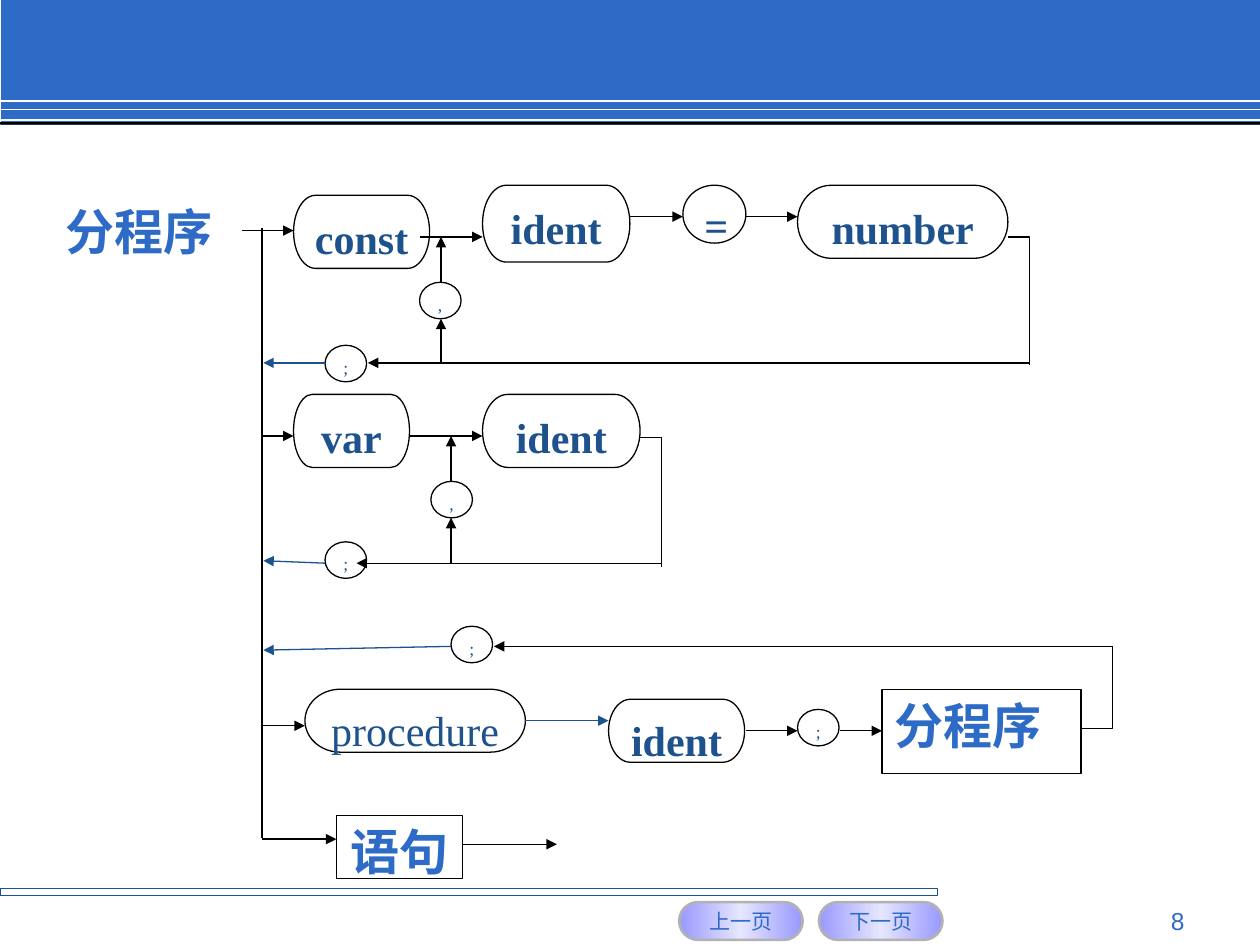
from copy import deepcopy

from pptx import Presentation
from pptx.dml.color import RGBColor
from pptx.enum.shapes import MSO_CONNECTOR, MSO_SHAPE
from pptx.enum.text import MSO_ANCHOR, PP_ALIGN
from pptx.oxml.ns import qn
from pptx.util import Inches, Pt
from lxml import etree

RECT, PILL = MSO_SHAPE.RECTANGLE, MSO_SHAPE.ROUNDED_RECTANGLE
TERMINAL = MSO_SHAPE.FLOWCHART_TERMINATOR
CIRCLE = MSO_SHAPE.FLOWCHART_CONNECTOR
PROCESS = MSO_SHAPE.FLOWCHART_PROCESS
STRAIGHT = MSO_CONNECTOR.STRAIGHT
LEFT, CENTER, RIGHT, JUSTIFY = PP_ALIGN.LEFT, PP_ALIGN.CENTER, PP_ALIGN.RIGHT, PP_ALIGN.JUSTIFY
TOP, MIDDLE = MSO_ANCHOR.TOP, MSO_ANCHOR.MIDDLE

THEME = {
    "band": "2D6BC7", "ink": "1D528D", "black": "000000", "white": "FFFFFF",
    "button_edge": "B2B2B2", "button": "9999FF", "button_light": "E6E6FF",
    "serif": "Times New Roman", "sans": "Arial", "cjk": "Noto Sans CJK SC",
    "symbol": 24, "block": 28, "mark": 10, "nav": 12, "number": 14, "line": 0.75,
}

# text, left, top, width, height, bold
TERMINALS = [
    ("const", 2.33, 1.55, 1.08, 0.58, True),
    ("ident", 3.83, 1.47, 1.17, 0.61, True),
    ("number", 6.33, 1.47, 1.67, 0.58, True),
    ("var", 2.33, 3.13, 0.92, 0.58, True),
    ("ident", 3.83, 3.13, 1.25, 0.58, True),
    ("procedure", 2.42, 5.47, 1.75, 0.5, False),
    ("ident", 4.83, 5.55, 1.08, 0.5, True),
]
MARK_SIZE = (0.33, 0.29)
# text, left, top
MARKS = [(",", 3.33, 2.24), (";", 2.58, 2.74), (",", 3.42, 3.82),
         (";", 2.58, 4.3), (";", 3.58, 4.97), (";", 6.33, 5.63)]
# text, left, top, width, height, alignment
BLOCKS = [("分程序", 7, 5.47, 1.58, 0.67, JUSTIFY), ("语句", 2.67, 6.47, 1, 0.5, CENTER)]

TRUNK = 2.08
# start x, start y, end x, end y
FLOW_ARROWS = [
    (1.92, 1.83, 2.33, 1.83), (3.33, 1.88, 3.83, 1.88),
    (5, 1.72, 5.42, 1.72), (5.92, 1.72, 6.33, 1.72),
    (8.17, 2.88, 2.92, 2.88), (3.5, 2.88, 3.5, 2.53), (3.5, 2.24, 3.5, 1.88),
    (TRUNK, 3.46, 2.33, 3.46), (3.25, 3.46, 3.83, 3.46),
    (5.25, 4.47, 2.83, 4.47), (3.58, 4.47, 3.58, 4.11), (3.58, 3.82, 3.58, 3.46),
    (TRUNK, 5.76, 2.42, 5.76), (5.92, 5.8, 6.33, 5.8), (6.67, 5.8, 7, 5.8),
    (8.83, 5.13, 3.92, 5.13), (TRUNK, 6.66, 2.67, 6.66), (3.67, 6.7, 4.42, 6.7),
]
BLUE_ARROWS = [
    (2.58, 2.88, 2.09, 2.88), (2.58, 4.47, 2.09, 4.45),
    (3.58, 5.13, 2.09, 5.16), (4.17, 5.72, 4.83, 5.72),
]
RETURN_CORNERS = [
    [(8, 1.88), (8.17, 1.88), (8.17, 2.9)],
    [(5.08, 3.47), (5.25, 3.47), (5.25, 4.5)],
    [(8.58, 5.78), (8.83, 5.78), (8.83, 5.13)],
]
BAND_LINES = [0.8, 0.87, 0.95]
BUTTONS = [("上一页", 5.39), ("下一页", 6.5)]


def color(name):
    return RGBColor.from_string(THEME[name])


def style(shape, fill=None, line=None, width=THEME["line"]):
    shape.shadow.inherit = False
    if fill:
        shape.fill.solid()
        shape.fill.fore_color.rgb = color(fill)
    else:
        shape.fill.background()
    if line:
        shape.line.color.rgb = color(line)
        shape.line.width = Pt(width)
    else:
        shape.line.fill.background()


def add_box(slide, kind, bounds, **look):
    box = slide.shapes.add_shape(kind, *map(Inches, bounds))
    style(box, **look)
    return box


def write(box, text, size, font, ink, align, bold=False, anchor=TOP, wrap=True):
    frame = box.text_frame
    frame.word_wrap = wrap
    frame.vertical_anchor = anchor
    para = frame.paragraphs[0]
    para.text = text
    para.alignment = align
    para.font.size = Pt(THEME[size])
    para.font.name = THEME[font]
    para.font.bold = bold
    para.font.color.rgb = color(ink)


def add_line(slide, ends, ink="black", width=THEME["line"], arrow=False):
    line = slide.shapes.add_connector(STRAIGHT, *map(Inches, ends))
    line.line.color.rgb = color(ink)
    line.line.width = Pt(width)
    if arrow:
        etree.SubElement(line.line._get_or_add_ln(), qn("a:tailEnd"), type="triangle")
    etree.SubElement(line._element.spPr, qn("a:effectLst"))


def add_corner(slide, points):
    start, *rest = [(Inches(x), Inches(y)) for x, y in points]
    builder = slide.shapes.build_freeform(*start)
    builder.add_line_segments(rest, close=False)
    style(builder.convert_to_shape(), line="black")


def add_button(slide, text, left):
    button = add_box(slide, PILL, (left, 7.16, 0.98, 0.3), line="button_edge", width=1.5)
    button.adjustments[0] = 0.5
    button.fill.gradient()
    button.fill.gradient_angle = 0
    stops = button._element.spPr.find(".//" + qn("a:gsLst"))
    stops.insert(1, deepcopy(stops[0]))
    names = ("button", "button_light", "button")
    for stop, position, name in zip(button.fill.gradient_stops, (0, 0.5, 1), names):
        stop.position = position
        stop.color.rgb = color(name)
    write(button, text, "nav", "sans", "band", CENTER, anchor=MIDDLE, wrap=False)


def add_frame(slide):
    """Header band, footer bar, navigation buttons and page number."""
    add_box(slide, RECT, (0.01, 0, 9.99, 0.99), fill="band")
    for y in BAND_LINES:
        add_line(slide, (0, y, 10, y), "white", 1)
    add_box(slide, RECT, (0, 0.97, 10, 0.02), fill="black")
    add_box(slide, RECT, (0, 7.05, 7.44, 0.06), line="ink")
    for text, left in BUTTONS:
        add_button(slide, text, left)
    number = slide.shapes.add_textbox(*map(Inches, (7.17, 7.14, 2.33, 0.27)))
    write(number, "8", "number", "sans", "band", RIGHT)


def add_diagram(slide):
    outlined = {"fill": "white", "line": "black"}
    for text, *bounds, bold in TERMINALS:
        box = add_box(slide, TERMINAL, bounds, **outlined)
        write(box, text, "symbol", "serif", "ink", CENTER, bold)
    equals = add_box(slide, CIRCLE, (5.42, 1.47, 0.5, 0.46), **outlined)
    write(equals, "=", "symbol", "serif", "ink", JUSTIFY, True)
    for text, left, top in MARKS:
        mark = add_box(slide, CIRCLE, (left, top, *MARK_SIZE), **outlined)
        write(mark, text, "mark", "serif", "ink", JUSTIFY)
    for text, *bounds, align in BLOCKS:
        block = add_box(slide, PROCESS, bounds, **outlined)
        write(block, text, "block", "serif", "band", align, True)

    add_line(slide, (TRUNK, 1.81, TRUNK, 6.65))
    for points in RETURN_CORNERS:
        add_corner(slide, points)
    for ends in FLOW_ARROWS:
        add_line(slide, ends, arrow=True)
    for ends in BLUE_ARROWS:
        add_line(slide, ends, "ink", arrow=True)

    label = slide.shapes.add_textbox(*map(Inches, (0.42, 1.55, 1.42, 0.57)))
    write(label, "分程序", "block", "cjk", "band", LEFT, True)


def main():
    deck = Presentation()
    deck.slide_width, deck.slide_height = Inches(10), Inches(7.5)
    slide = deck.slides.add_slide(deck.slide_layouts[6])
    add_frame(slide)
    add_diagram(slide)
    deck.save("out.pptx")


if __name__ == "__main__":
    main()
